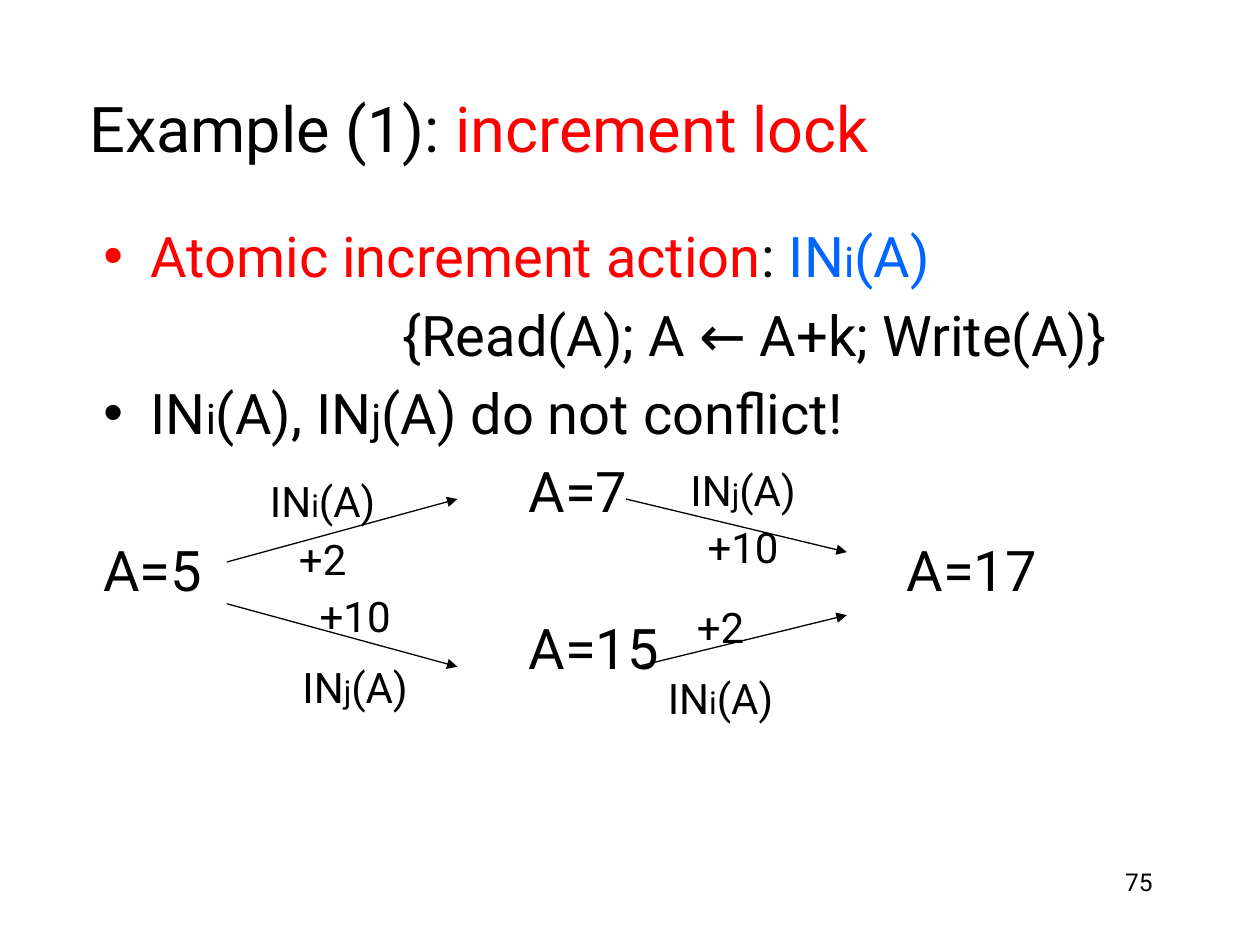
from lxml import etree
from pptx import Presentation
from pptx.dml.color import RGBColor
from pptx.enum.shapes import MSO_CONNECTOR
from pptx.enum.text import MSO_ANCHOR, MSO_AUTO_SIZE, PP_ALIGN
from pptx.oxml.ns import qn
from pptx.util import Cm, Pt

STRAIGHT = MSO_CONNECTOR.STRAIGHT
TOP, MIDDLE = MSO_ANCHOR.TOP, MSO_ANCHOR.MIDDLE
NO_AUTOSIZE = MSO_AUTO_SIZE.NONE
LEFT, CENTER, RIGHT = PP_ALIGN.LEFT, PP_ALIGN.CENTER, PP_ALIGN.RIGHT

FONT = "Roboto"
COLORS = {"text": "000000", "accent": "FF0000", "action": "0066FF"}
HANGING = Cm(0.95)
TAB_SIZE = Cm(2.54)


def add_runs(p, runs):
    """Each run is (text, size in points) with an optional colour name."""
    for text, size, *color in runs:
        r = p.add_run()
        r.text = text
        r.font.name = FONT
        r.font.size = Pt(size)
        r.font.color.rgb = RGBColor.from_string(COLORS[color[0] if color else "text"])


def indexed(index, size, small, color="text"):
    """Runs for an increment action INi(A) with a smaller index."""
    return [("IN", size, color), (index, small, color), ("(A)", size, color)]


def place(sp, left, top, width, height):
    sp.left, sp.top, sp.width, sp.height = Cm(left), Cm(top), Cm(width), Cm(height)


def fill_frame(tf, paragraphs, align, anchor, space=0, wrap=True):
    tf.word_wrap = wrap
    tf.auto_size = NO_AUTOSIZE
    tf.vertical_anchor = anchor
    for i, runs in enumerate(paragraphs):
        p = tf.add_paragraph() if i else tf.paragraphs[0]
        p.alignment = align
        p.space_before = Pt(space if i else 0)
        add_runs(p, runs)


def add_text(s, box, paragraphs, align, anchor, space=0, wrap=True):
    sp = s.shapes.add_textbox(*map(Cm, box))
    fill_frame(sp.text_frame, paragraphs, align, anchor, space, wrap)
    return sp.text_frame


def set_hanging(p, bullet):
    pPr = p._p.get_or_add_pPr()
    pPr.set("marL", str(HANGING))
    pPr.set("indent", str(-HANGING))
    pPr.set("defTabSz", str(TAB_SIZE))
    if bullet:
        etree.SubElement(pPr, qn("a:buChar")).set("char", "•")
    else:
        etree.SubElement(pPr, qn("a:buNone"))


def add_arrow(s, x1, y1, x2, y2):
    c = s.shapes.add_connector(STRAIGHT, Cm(x1), Cm(y1), Cm(x2), Cm(y2))
    c.line.width = Pt(0.75)
    c.line.color.rgb = RGBColor.from_string(COLORS["text"])
    etree.SubElement(c.line._get_or_add_ln(), qn("a:tailEnd")).set("type", "triangle")
    etree.SubElement(c._element.spPr, qn("a:effectLst"))


def add_title(s):
    sp = s.shapes.title
    place(sp, 1.55, 0.97, 21.59, 3.18)
    runs = [("Example (1): ", 36), ("increment lock", 36, "accent")]
    fill_frame(sp.text_frame, [runs], LEFT, MIDDLE)


def add_body(s):
    sp = s.placeholders[1]
    place(sp, 1.83, 4.34, 21.59, 11.43)
    lines = [
        [("Atomic increment action", 32, "accent"), (": ", 32)]
        + indexed("i", 32, 24, "action"),
        [("\t\t\t{Read(A); A ← A+k; Write(A)}", 32)],
        indexed("i", 32, 24) + [(", ", 32)] + indexed("j", 32, 24)
        + [(" do not conflict!", 32)],
        [("\t\t\t\tA=7", 32)],
        [("A=5\t\t\t\t\t\tA=17", 32)],
        [("\t\t\t\tA=15", 32)],
    ]
    fill_frame(sp.text_frame, lines, LEFT, TOP, space=6.4)
    for i, p in enumerate(sp.text_frame.paragraphs):
        set_hanging(p, bullet=i in (0, 2))


def add_step_labels(s):
    """Upper paths name the action above the amount, lower paths below it."""
    upper = [
        ((5.16, 9.42, 2.69, 2.49), "i", "+2"),
        ((13.61, 9.19, 2.74, 2.49), "j", "+10"),
    ]
    lower = [
        ((5.79, 11.73, 2.74, 2.79), "j", "+10"),
        ((13.18, 11.96, 2.69, 2.79), "i", "+2"),
    ]
    for box, index, amount in upper:
        lines = [indexed(index, 24, 18), [(amount, 24)]]
        tf = add_text(s, box, lines, CENTER, MIDDLE, space=12, wrap=False)
        tf.paragraphs[1].line_spacing = 0.7
    for box, index, amount in lower:
        lines = [[(amount, 24)], indexed(index, 24, 18)]
        add_text(s, box, lines, CENTER, MIDDLE, space=12, wrap=False)


def main():
    prs = Presentation()
    prs.slide_width, prs.slide_height = Cm(25.4), Cm(19.05)
    s = prs.slides.add_slide(prs.slide_layouts[1])
    add_title(s)
    add_body(s)
    for ends in [
        (4.57, 11.33, 9.22, 10.06),
        (4.57, 12.17, 9.22, 13.44),
        (12.62, 10.06, 17.07, 11.13),
        (12.83, 13.44, 17.07, 12.4),
    ]:
        add_arrow(s, *ends)
    add_step_labels(s)
    add_text(s, (18.21, 17.35, 5.28, 1.27), [[("75", 14)]], RIGHT, TOP)
    prs.save("out.pptx")


if __name__ == "__main__":
    main()
